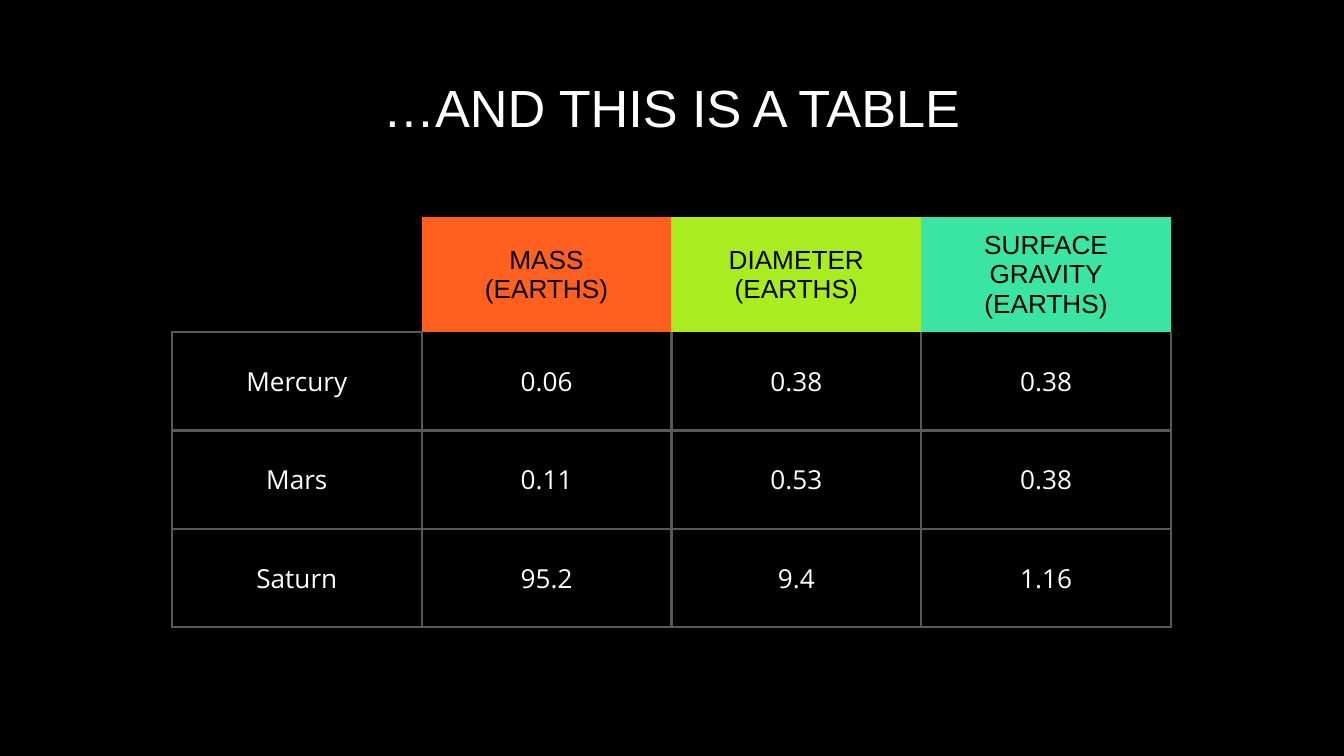
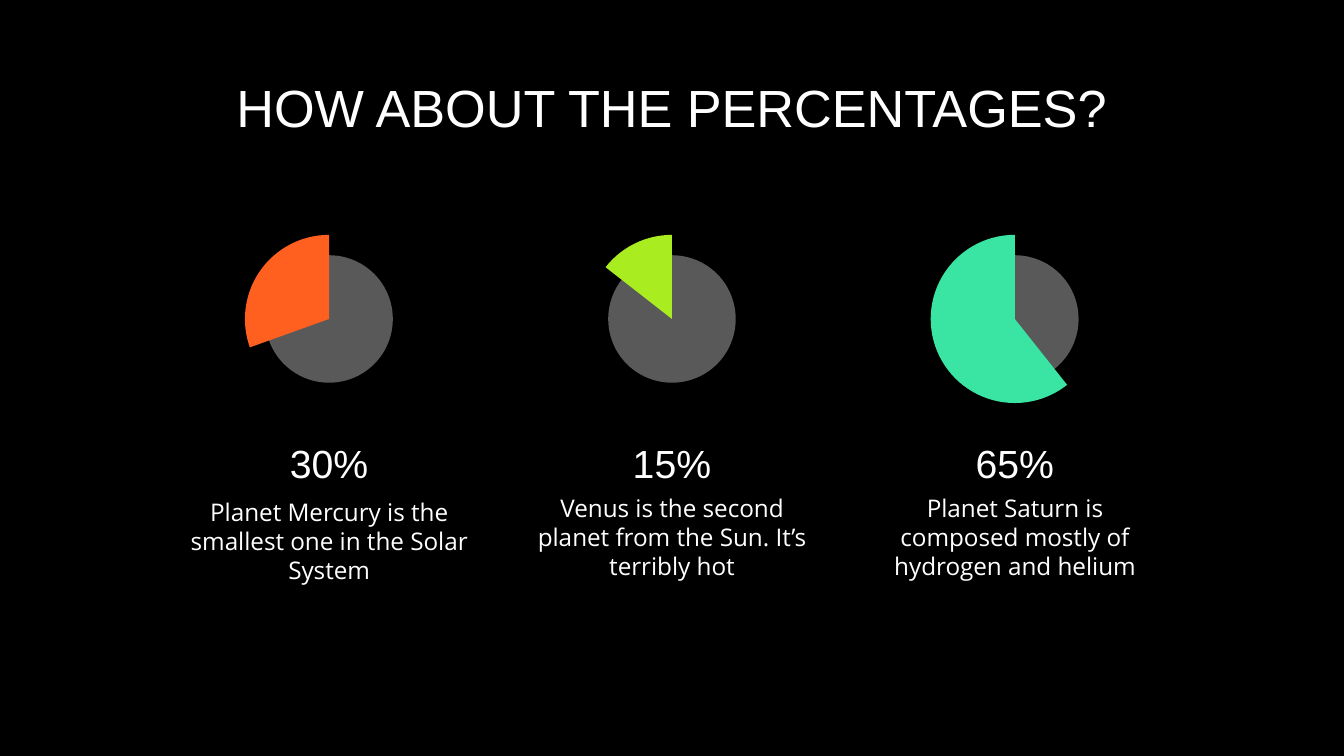
from dataclasses import dataclass

from lxml import etree
from pptx import Presentation
from pptx.dml.color import RGBColor
from pptx.enum.shapes import MSO_SHAPE
from pptx.enum.text import MSO_ANCHOR, MSO_AUTO_SIZE, PP_ALIGN
from pptx.oxml.ns import qn
from pptx.util import Cm, Pt

# Shared style
BLACK = RGBColor(0x00, 0x00, 0x00)
WHITE = RGBColor(0xFF, 0xFF, 0xFF)
GREY = RGBColor(0x59, 0x59, 0x59)
ORANGE = RGBColor(0xFF, 0x60, 0x1F)
LIME = RGBColor(0xA9, 0xEC, 0x20)
MINT = RGBColor(0x3A, 0xE4, 0xA2)
HEADING_FONT = "Arial"
BODY_FONT = "Open Sans"
INSET = Cm(0.25)
TITLE_ONLY_LAYOUT = 5


@dataclass(frozen=True)
class Column:
    heading: str
    color: RGBColor
    values: tuple[str, ...]


@dataclass(frozen=True)
class Percentage:
    label: str
    description: str
    color: RGBColor
    start_degrees: float
    description_top: float = 9.07


PLANETS = ("Mercury", "Mars", "Saturn")
COLUMNS = (
    Column("MASS\n(EARTHS)", ORANGE, ("0.06", "0.11", "95.2")),
    Column("DIAMETER\n(EARTHS)", LIME, ("0.38", "0.53", "9.4")),
    Column("SURFACE GRAVITY\n(EARTHS)", MINT, ("0.38", "0.38", "1.16")),
)
PERCENTAGES = (
    Percentage("30%", "Planet Mercury is the smallest one in the Solar System",
               ORANGE, 160.26, description_top=9.14),
    Percentage("15%", "Venus is the second planet from the Sun. It’s terribly hot",
               LIME, 217.94),
    Percentage("65%", "Planet Saturn is composed mostly of hydrogen and helium",
               MINT, 51.57),
)


def write_text(frame, text: str, *, size: float, font: str = BODY_FONT,
               color: RGBColor = WHITE, line_spacing: float | None = None) -> None:
    """Write centred text, one paragraph for each line."""
    for index, line in enumerate(text.split("\n")):
        paragraph = frame.add_paragraph() if index else frame.paragraphs[0]
        paragraph.alignment = PP_ALIGN.CENTER
        paragraph.line_spacing = line_spacing
        run = paragraph.add_run()
        run.text = line
        run.font.size = Pt(size)
        run.font.name = font
        run.font.color.rgb = color


def prepare_frame(shape, anchor: MSO_ANCHOR):
    frame = shape.text_frame
    frame.word_wrap = True
    frame.auto_size = MSO_AUTO_SIZE.NONE
    frame.vertical_anchor = anchor
    frame.margin_left = frame.margin_right = INSET
    frame.margin_top = frame.margin_bottom = INSET
    return frame


def add_titled_slide(presentation, title: str):
    slide = presentation.slides.add_slide(presentation.slide_layouts[TITLE_ONLY_LAYOUT])
    shape = slide.shapes.title
    shape.left, shape.top, shape.width, shape.height = Cm(2.01), Cm(1.5), Cm(21.36), Cm(1.27)
    frame = prepare_frame(shape, MSO_ANCHOR.MIDDLE)
    write_text(frame, title, size=28, font=HEADING_FONT, line_spacing=0.8)
    return slide


# Table
def format_cell(cell, fill: RGBColor, bordered_sides: str) -> None:
    """Draw grey lines on the given sides (of L, R, T, B) and none on the others."""
    properties = cell._tc.get_or_add_tcPr()
    for side in "LRTB":
        line = etree.SubElement(properties, qn(f"a:ln{side}"), w=str(Pt(1.5)))
        if side in bordered_sides:
            solid = etree.SubElement(line, qn("a:solidFill"))
            etree.SubElement(solid, qn("a:srgbClr"), val=str(GREY))
        else:
            etree.SubElement(line, qn("a:noFill"))
    cell.fill.solid()
    cell.fill.fore_color.rgb = fill
    cell.vertical_anchor = MSO_ANCHOR.MIDDLE
    cell.margin_left = cell.margin_right = INSET
    cell.margin_top = cell.margin_bottom = INSET


def add_planet_table(slide) -> None:
    row_count, column_count = len(PLANETS) + 1, len(COLUMNS) + 1
    column_width, row_height = Cm(4.72), Cm(1.86)
    table = slide.shapes.add_table(
        row_count, column_count, Cm(3.25), Cm(4.11),
        column_width * column_count, row_height * row_count).table
    table.first_row = table.horz_banding = False
    for column in table.columns:
        column.width = column_width
    for row in table.rows:
        row.height = row_height

    # Header row
    format_cell(table.cell(0, 0), BLACK, "B")
    for index, column in enumerate(COLUMNS, start=1):
        cell = table.cell(0, index)
        format_cell(cell, column.color, "")
        write_text(cell.text_frame, column.heading, size=14, font=HEADING_FONT, color=BLACK)

    # Planet rows
    for row_index, planet in enumerate(PLANETS, start=1):
        values = [planet] + [column.values[row_index - 1] for column in COLUMNS]
        for column_index, value in enumerate(values):
            cell = table.cell(row_index, column_index)
            under_heading = row_index == 1 and column_index > 0
            format_cell(cell, BLACK, "LRB" if under_heading else "LRTB")
            write_text(cell.text_frame, value, size=14)


# Percentages
def add_round_shape(group, kind: MSO_SHAPE, center_x: float, diameter: float,
                    color: RGBColor):
    center_y = 6.03
    shape = group.shapes.add_shape(
        kind, Cm(center_x - diameter / 2), Cm(center_y - diameter / 2),
        Cm(diameter), Cm(diameter))
    shape.shadow.inherit = False
    shape.fill.solid()
    shape.fill.fore_color.rgb = color
    shape.line.fill.background()
    return shape


def add_percentage(slide, item: Percentage, center_x: float) -> None:
    group = slide.shapes.add_group_shape()
    add_round_shape(group, MSO_SHAPE.OVAL, center_x, 2.41, GREY)
    sector = add_round_shape(group, MSO_SHAPE.PIE, center_x, 3.18, item.color)
    for index, degrees in enumerate((item.start_degrees, 270)):
        sector.adjustments[index] = degrees * 0.6  # 60000 units a degree, in 100000ths

    width = 5.74
    left = Cm(center_x - width / 2)
    label = slide.shapes.add_textbox(left, Cm(8.23), Cm(width), Cm(1.02))
    write_text(prepare_frame(label, MSO_ANCHOR.MIDDLE), item.label,
               size=21, font=HEADING_FONT)
    description = slide.shapes.add_textbox(left, Cm(item.description_top), Cm(width), Cm(2.54))
    write_text(prepare_frame(description, MSO_ANCHOR.TOP), item.description, size=13)


def main() -> None:
    presentation = Presentation()
    presentation.slide_width, presentation.slide_height = Cm(25.4), Cm(14.29)
    background = presentation.slide_master.background.fill
    background.solid()
    background.fore_color.rgb = BLACK

    add_planet_table(add_titled_slide(presentation, "…AND THIS IS A TABLE"))

    slide = add_titled_slide(presentation, "HOW ABOUT THE PERCENTAGES?")
    for index, item in enumerate(PERCENTAGES):
        add_percentage(slide, item, center_x=6.22 + 6.48 * index)

    presentation.save("out.pptx")


if __name__ == "__main__":
    main()
